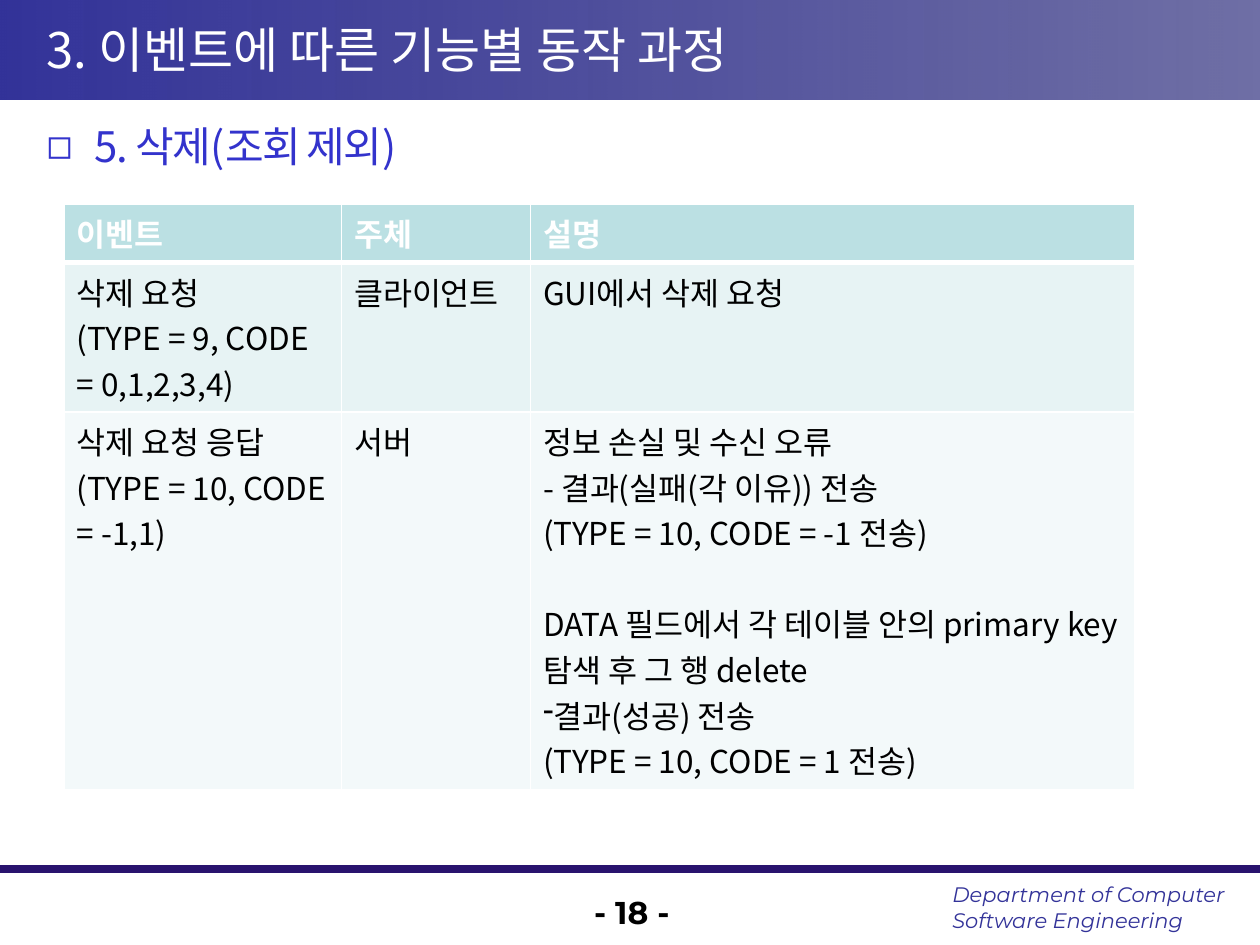
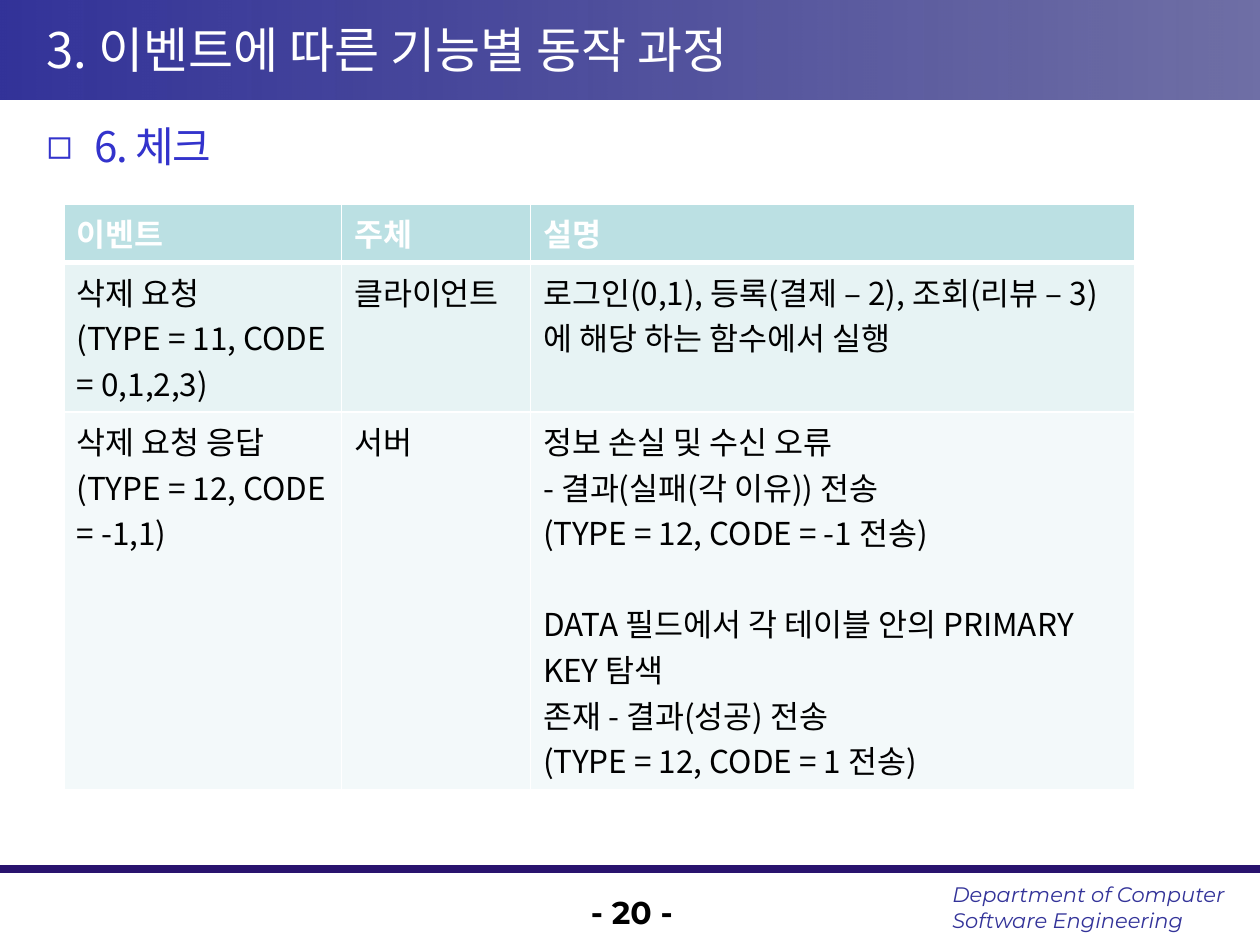
"""Builds two slides that describe event handling in a client and server system."""
import pptx
import pptx.util
import pptx.dml.color
import pptx.enum.shapes
import pptx.enum.text
import pptx.oxml.ns
from lxml import etree

Inches = pptx.util.Inches
Pt = pptx.util.Pt
RGBColor = pptx.dml.color.RGBColor
qn = pptx.oxml.ns.qn

NAVY = RGBColor(0x33, 0x33, 0x99)
DEEP = RGBColor(0x29, 0x29, 0x7B)
RULE = RGBColor(0x29, 0x13, 0x6E)
BLUE = RGBColor(0x33, 0x33, 0xCC)
WHITE = RGBColor(0xFF, 0xFF, 0xFF)
BLACK = RGBColor(0, 0, 0)
FILLS = [RGBColor(0xBB, 0xE0, 0xE3), RGBColor(0xE7, 0xF3, 0xF4), RGBColor(0xF3, 0xF9, 0xFA)]

SANS = "Noto Sans CJK KR"
MONT = "Montserrat"
TITLE = "3. 이벤트에 따른 기능별 동작 과정"
FOOT = "Department of Computer\nSoftware Engineering"
HEAD = ["이벤트", "주체", "설명"]
COLS = [2.2, 1.5, 4.8]
ROWS = [0.45, 1.18, 3.0]
GAP = Pt(26)

PAGES = [
    {
        "page": 18,
        "topic": "5. 삭제(조회 제외)",
        "rows": [
            ["삭제 요청\n(TYPE = 9, CODE = 0,1,2,3,4)", "클라이언트", "GUI에서 삭제 요청"],
            ["삭제 요청 응답\n(TYPE = 10, CODE = -1,1)", "서버",
             "정보 손실 및 수신 오류\n- 결과(실패(각 이유)) 전송\n(TYPE = 10, CODE = -1 전송)\n"
             "DATA 필드에서 각 테이블 안의 primary key 탐색 후 그 행 delete\n"
             "결과(성공) 전송\n(TYPE = 10, CODE = 1 전송)"],
        ],
    },
    {
        "page": 20,
        "topic": "6. 체크",
        "rows": [
            ["삭제 요청\n(TYPE = 11, CODE = 0,1,2,3)", "클라이언트",
             "로그인(0,1), 등록(결제 – 2), 조회(리뷰 – 3) 에 해당 하는 함수에서 실행"],
            ["삭제 요청 응답\n(TYPE = 12, CODE = -1,1)", "서버",
             "정보 손실 및 수신 오류\n- 결과(실패(각 이유)) 전송\n(TYPE = 12, CODE = -1 전송)\n"
             "DATA 필드에서 각 테이블 안의 PRIMARY KEY 탐색\n"
             "존재 - 결과(성공) 전송\n(TYPE = 12, CODE = 1 전송)"],
        ],
    },
]


def place(shape, left, top, width, height):
    """Move and size a shape, in inches."""
    shape.left, shape.top = Inches(left), Inches(top)
    shape.width, shape.height = Inches(width), Inches(height)


def style(frame, size, color, face=SANS, bold=False, italic=False, space=None):
    """Format every run of a text frame."""
    for para in frame.paragraphs:
        for run in para.runs:
            font = run.font
            font.size, font.name = Pt(size), face
            font.bold, font.italic = bold, italic
            font.color.rgb = color
            props = run._r.get_or_add_rPr()
            etree.SubElement(props, qn("a:ea"), typeface=face)
            if space is not None:
                props.set("spc", str(space))


def mark(para, char):
    """Give a paragraph a bullet character."""
    etree.SubElement(para._p.get_or_add_pPr(), qn("a:buChar"), char=char)


def band(slide, left, top, width, height):
    """Draw the title band behind the placeholders."""
    shape = slide.shapes.add_shape(
        pptx.enum.shapes.MSO_SHAPE.RECTANGLE,
        Inches(left), Inches(top), Inches(width), Inches(height))
    shape.shadow.inherit = False
    shape.line.fill.background()
    shape.fill.gradient()
    shape.fill.gradient_angle = 0
    for stop, color, spot in zip(shape.fill.gradient_stops, (NAVY, DEEP), (0, 1)):
        stop.color.rgb = color
        stop.position = spot
    tint = shape.element.findall(".//" + qn("a:gs"))[-1][0]
    etree.SubElement(tint, qn("a:alpha"), val="67000")
    shape.element.getparent().insert(2, shape.element)


def title(slide, left, top, width, height):
    """Fill the title placeholder."""
    shape = slide.shapes.title
    place(shape, left, top, width, height)
    frame = shape.text_frame
    frame.text = TITLE
    frame.auto_size = pptx.enum.text.MSO_AUTO_SIZE.NONE
    frame.vertical_anchor = pptx.enum.text.MSO_ANCHOR.MIDDLE
    frame.paragraphs[0].alignment = pptx.enum.text.PP_ALIGN.LEFT
    style(frame, 28, WHITE)


def body(slide, text, left, top, width, height):
    """Fill the body placeholder with the bulleted topic."""
    shape = slide.placeholders[1]
    place(shape, left, top, width, height)
    frame = shape.text_frame
    frame.text = text
    frame.auto_size = pptx.enum.text.MSO_AUTO_SIZE.NONE
    para = frame.paragraphs[0]
    para.space_before = Pt(0)
    props = para._p.get_or_add_pPr()
    props.set("marL", str(Inches(0.38)))
    props.set("indent", str(-Inches(0.38)))
    mark(para, "◻")
    style(frame, 24, BLUE, space=-100)


def edge(cell, side, width):
    """Draw one white border of a cell."""
    line = etree.SubElement(cell._tc.get_or_add_tcPr(), qn("a:ln" + side), w=str(Pt(width)))
    fill = etree.SubElement(line, qn("a:solidFill"))
    etree.SubElement(fill, qn("a:srgbClr"), val=str(WHITE))


def grid(slide, rows, left, top):
    """Add the event table."""
    frame = slide.shapes.add_table(
        len(ROWS), len(COLS), Inches(left), Inches(top), Inches(sum(COLS)), Inches(sum(ROWS)))
    table = frame.table
    table.horz_banding = False
    for col, width in zip(table.columns, COLS):
        col.width = Inches(width)
    for r, texts in enumerate([HEAD] + rows):
        table.rows[r].height = Inches(ROWS[r])
        for c, text in enumerate(texts):
            cell = table.cell(r, c)
            cell.text_frame.text = text
            for side in "LRTB":
                thick = (r, side) in ((0, "B"), (1, "T"))
                edge(cell, side, 3 if thick else 1)
            cell.fill.solid()
            cell.fill.fore_color.rgb = FILLS[r]
            for para in cell.text_frame.paragraphs:
                if para.text.startswith("DATA"):
                    para.space_before = GAP
                if para.text.startswith("결과"):
                    mark(para, "-")
            style(cell.text_frame, 18, BLACK if r else WHITE, bold=r == 0)


def label(slide, text, left, top, width, height):
    """Add a text box and return its frame."""
    box = slide.shapes.add_textbox(Inches(left), Inches(top), Inches(width), Inches(height))
    box.text_frame.text = text
    return box.text_frame


def footer(slide, page, top):
    """Draw the rule, the page number and the department name."""
    rule = slide.shapes.add_connector(
        pptx.enum.shapes.MSO_CONNECTOR.STRAIGHT, 0, Inches(top), Inches(10), Inches(top))
    rule.line.color.rgb = RULE
    rule.line.width = Pt(4.5)
    etree.SubElement(rule.element.spPr, qn("a:effectLst"))
    dept = label(slide, FOOT, 7.46, top + 0.05, 2.49, 0.51)
    dept.word_wrap = False
    dept.auto_size = pptx.enum.text.MSO_AUTO_SIZE.SHAPE_TO_FIT_TEXT
    style(dept, 12, NAVY, MONT, italic=True)
    num = label(slide, f"- {page} -", 3.85, top + 0.14, 2.33, 0.36)
    num.word_wrap = True
    num.paragraphs[0].alignment = pptx.enum.text.PP_ALIGN.CENTER
    style(num, 18, BLACK, MONT, bold=True)


def build(deck, data):
    """Add one event slide."""
    slide = deck.slides.add_slide(deck.slide_layouts[1])
    band(slide, 0, 0, 10, 0.79)
    title(slide, 0.27, 0.03, 9.45, 0.71)
    body(slide, data["topic"], 0.27, 0.91, 9.45, 5.91)
    grid(slide, data["rows"], 0.51, 1.62)
    footer(slide, data["page"], 6.9)


def main():
    """Build and save the deck."""
    deck = pptx.Presentation()
    deck.slide_width, deck.slide_height = Inches(10), Inches(7.5)
    for data in PAGES:
        build(deck, data)
    deck.save("out.pptx")


if __name__ == "__main__":
    main()
